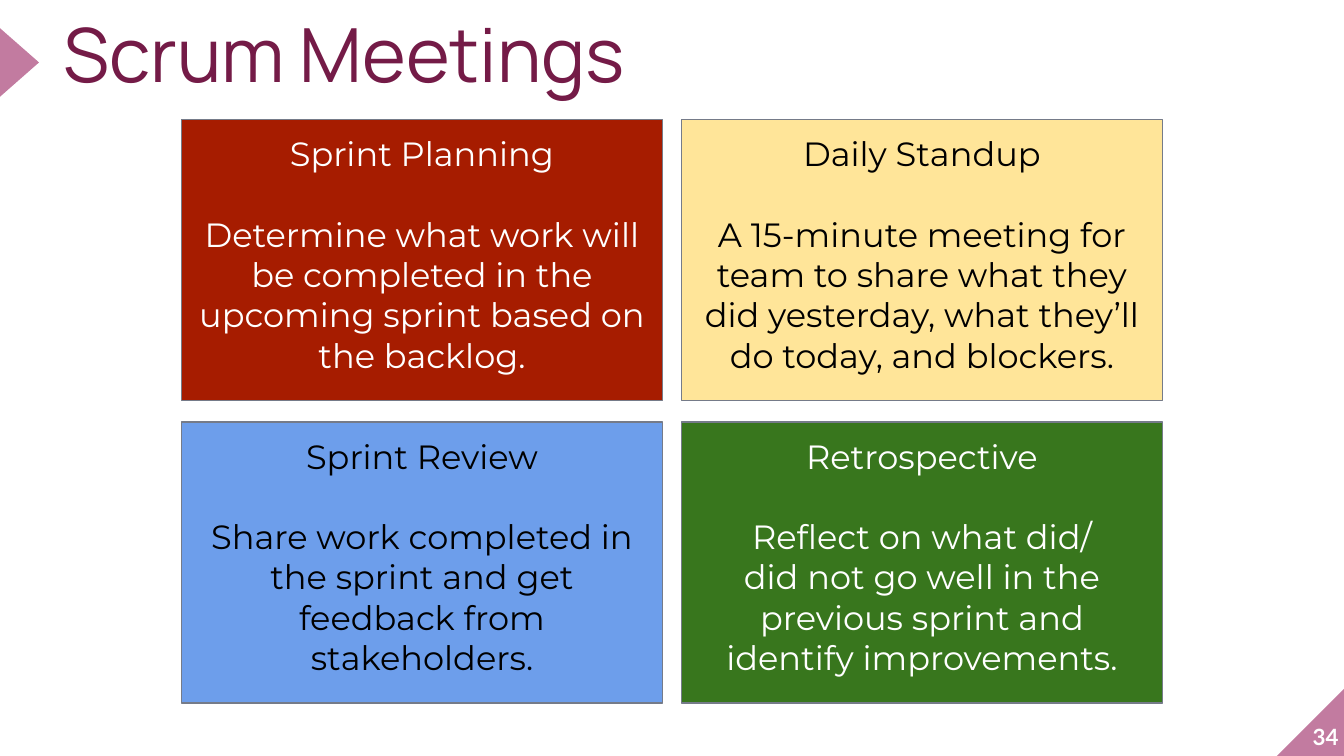
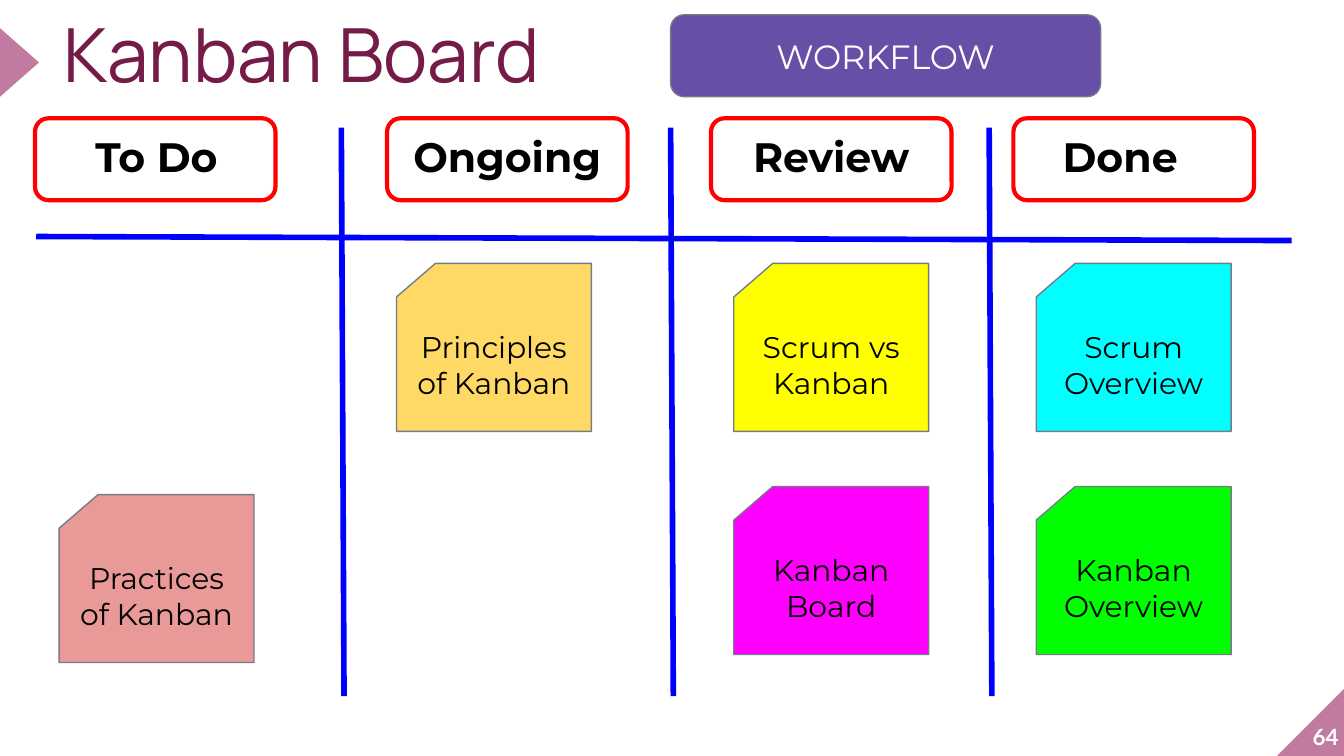
from itertools import product

from lxml.etree import SubElement
from pptx import Presentation
from pptx.dml.color import RGBColor
from pptx.enum.shapes import MSO_CONNECTOR, MSO_SHAPE
from pptx.enum.text import MSO_ANCHOR, MSO_AUTO_SIZE, PP_ALIGN
from pptx.oxml.ns import qn
from pptx.util import Inches, Pt

WIDTH = 10
HEIGHT = WIDTH * 9 / 16
BLACK, WHITE = "000000", "FFFFFF"
MAUVE, PLUM, GREY = "C27BA0", "741B47", "757B89"
BLUE, RED, PURPLE = "0000FF", "FF0000", "674EA7"
BODY_FONT, TITLE_FONT, NUMBER_FONT = "Montserrat", "Manrope", "Lato"

MEETINGS = [
    ("A61C00", WHITE, "Sprint Planning",
     ["Determine what work will be completed in the upcoming sprint based on the backlog."]),
    ("FFE599", BLACK, "Daily Standup",
     ["A 15-minute meeting for team to share what they did yesterday, "
      "what they’ll do today, and blockers."]),
    ("6D9EEB", BLACK, "Sprint Review",
     ["Share work completed in", "the sprint and get", "feedback from", "stakeholders."]),
    ("38761D", WHITE, "Retrospective",
     ["Reflect on what did/",
      "did not go well in the previous sprint and identify improvements."]),
]

FIRST_ROW, SECOND_ROW, TODO_ROW = 1.96, 3.62, 3.68
BOARD = [
    ("To Do", 0.28, 0.26, 0.44, [(TODO_ROW, "EA9999", ["Practices of Kanban"])]),
    ("Ongoing", 2.89, 2.88, 2.95, [(FIRST_ROW, "FFD966", ["Principles of Kanban"])]),
    ("Review", 5.3, 5.29, 5.46, [(FIRST_ROW, "FFFF00", ["Scrum vs Kanban"]),
                                 (SECOND_ROW, "FF00FF", ["Kanban Board"])]),
    ("Done", 7.45, 7.54, 7.71, [(FIRST_ROW, "00FFFF", ["Scrum Overview"]),
                                (SECOND_ROW, "00FF00", ["Kanban", "Overview"])]),
]


def color(value):
    """Turn a hex string into a colour."""
    return RGBColor.from_string(value)


def box(left, top, width, height):
    """Turn inches into a position and a size."""
    return [Inches(length) for length in (left, top, width, height)]


def write(shape, lines, size, ink, font=BODY_FONT, bold=False,
          align=PP_ALIGN.CENTER, anchor=MSO_ANCHOR.MIDDLE, inset=0.1):
    """Fill a shape with paragraphs of one style and return them."""
    frame = shape.text_frame
    frame.word_wrap = True
    frame.auto_size = MSO_AUTO_SIZE.NONE
    frame.vertical_anchor = anchor
    frame.margin_left = frame.margin_right = Inches(inset)
    frame.margin_top = frame.margin_bottom = Inches(inset)
    frame.text = "\n".join(lines)
    for paragraph in frame.paragraphs:
        paragraph.alignment = align
        paragraph.font.name = font
        paragraph.font.size = Pt(size)
        paragraph.font.bold = bold
        paragraph.font.color.rgb = color(ink)
    return frame.paragraphs


def add_figure(slide, kind, place, fill=None, line=None, weight=0.75):
    """Add a flat preset shape."""
    shape = slide.shapes.add_shape(kind, *box(*place))
    shape.shadow.inherit = False
    if fill:
        shape.fill.solid()
        shape.fill.fore_color.rgb = color(fill)
    else:
        shape.fill.background()
    if line:
        shape.line.color.rgb = color(line)
        shape.line.width = Pt(weight)
    else:
        shape.line.fill.background()
    return shape


def add_divider(slide, start, end):
    """Add a blue line of the board."""
    line = slide.shapes.add_connector(
        MSO_CONNECTOR.STRAIGHT, *[Inches(length) for length in start + end])
    line.line.color.rgb = color(BLUE)
    line.line.width = Pt(3)
    SubElement(line.element.spPr, qn("a:effectLst"))


def decorate_layout(layout, slide):
    """Draw the corner and the title marker, then move them to the layout."""
    corner = add_figure(slide, MSO_SHAPE.RIGHT_TRIANGLE,
                        (WIDTH - 0.5, HEIGHT - 0.51, 0.51, 0.51), MAUVE)
    corner.rotation = 270
    marker = add_figure(slide, MSO_SHAPE.ISOSCELES_TRIANGLE, (-0.11, 0.32, 0.51, 0.29), MAUVE)
    marker.rotation = 90
    for shape in (corner, marker):
        layout.shapes.element.append(shape.element)


def set_heading(slide, title, number, width):
    """Write the title and the page number."""
    heading = slide.shapes.title
    heading.left, heading.top, heading.width, heading.height = box(0.47, 0.19, width, 0.69)
    paragraphs = write(heading, [title], 40, PLUM, TITLE_FONT, align=PP_ALIGN.LEFT,
                       anchor=MSO_ANCHOR.TOP, inset=0)
    paragraphs[0].line_spacing = 0.8
    page = slide.shapes.add_textbox(*box(9.46, 5.07, 0.5, 0.51))
    write(page, [number], 12, WHITE, NUMBER_FONT, True, PP_ALIGN.RIGHT, MSO_ANCHOR.BOTTOM, 0)


def build_meetings(slide):
    """Lay out the four meetings on a two by two grid."""
    set_heading(slide, "Scrum Meetings", "34", 7)
    for (row, column), (fill, ink, name, lines) in zip(product(range(2), repeat=2), MEETINGS):
        place = (1.35 + column * 3.72, 0.89 + row * 2.25, 3.58, 2.09)
        panel = add_figure(slide, MSO_SHAPE.RECTANGLE, place, fill, GREY)
        paragraphs = write(panel, [name, *lines], 18, ink, anchor=MSO_ANCHOR.TOP)
        paragraphs[1].space_before = Pt(21.5)


def build_board(slide):
    """Draw the board with its dividers, headers and cards."""
    set_heading(slide, "Kanban Board", "64", 9.2)
    add_divider(slide, (0.27, 1.76), (9.61, 1.79))
    for left in (2.54, 4.99, 7.36):
        add_divider(slide, (left + 0.02, 5.18), (left, 0.95))
    workflow = add_figure(slide, MSO_SHAPE.ROUNDED_RECTANGLE, (4.99, 0.11, 3.2, 0.61),
                          PURPLE, GREY)
    write(workflow, ["WORKFLOW"], 18, WHITE)
    for name, text_left, frame_left, card_left, cards in BOARD:
        header = slide.shapes.add_textbox(*box(text_left, 0.88, 1.77, 0.43))
        write(header, [name], 22, BLACK, bold=True, anchor=MSO_ANCHOR.TOP)
        add_figure(slide, MSO_SHAPE.ROUNDED_RECTANGLE, (frame_left, 0.88, 1.79, 0.61),
                   line=RED, weight=2.25)
        for top, fill, lines in cards:
            card = add_figure(slide, MSO_SHAPE.FLOWCHART_CARD, (card_left, top, 1.45, 1.25),
                              fill, GREY)
            write(card, lines, 16, BLACK)


def main():
    """Build and save the presentation."""
    presentation = Presentation()
    presentation.slide_width, presentation.slide_height = Inches(WIDTH), Inches(HEIGHT)
    layout = presentation.slide_layouts.get_by_name("Title Only")
    meetings, board = [presentation.slides.add_slide(layout) for _ in range(2)]
    decorate_layout(layout, meetings)
    build_meetings(meetings)
    build_board(board)
    presentation.save("out.pptx")


if __name__ == "__main__":
    main()
